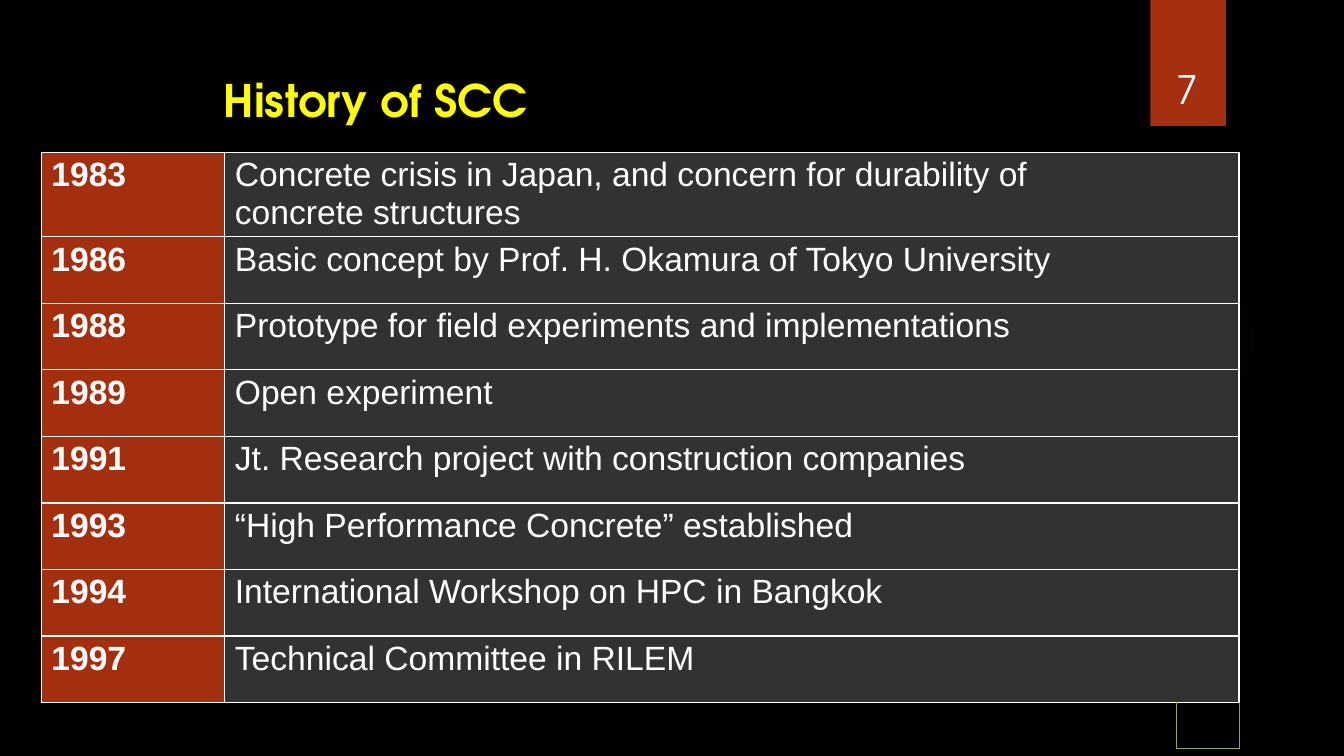
import pptx
import pptx.dml.color
import pptx.enum.shapes
import pptx.enum.text
import pptx.oxml
import pptx.oxml.ns
import pptx.util
from lxml import etree

Inches = pptx.util.Inches
WHITE, RUST, YELLOW = "FFFFFF", "A5300F", "FFFF00"
YEAR_FILL, EVENT_FILL, GREEN = "A42F0F", "323232", "92AA4B"
HEADING_FONT = "TeX Gyre Adventor"
COLUMN_WIDTHS = (1.82, 9.44, 0.62)
FIRST_ROW, EVENT_ROW, LAST_ROW = 0.72, 0.66, 0.46
HISTORY = (
    ("1983", "Concrete crisis in Japan, and concern for durability of concrete structures"),
    ("1986", "Basic concept by Prof. H. Okamura of Tokyo University"),
    ("1988", "Prototype for field experiments and implementations"),
    ("1989", "Open experiment"),
    ("1991", "Jt. Research project with construction companies"),
    ("1993", "“High Performance Concrete” established"),
    ("1994", "International Workshop on HPC in Bangkok"),
    ("1997", "Technical Committee in RILEM"),
)


def color(hex_text):
    return pptx.dml.color.RGBColor.from_string(hex_text)


def write_text(frame, text, font="Arial", size=24, fill=WHITE, bold=False, align="LEFT"):
    paragraph = frame.paragraphs[0]
    paragraph.alignment = getattr(pptx.enum.text.PP_ALIGN, align)
    run = paragraph.add_run()
    run.text = text
    run.font.name, run.font.size, run.font.bold = font, pptx.util.Pt(size), bold
    run.font.color.rgb = color(fill)


def add_text_box(slide, box, text, margins, anchor="TOP", **text_format):
    frame = slide.shapes.add_textbox(*map(Inches, box)).text_frame
    frame.word_wrap = True
    frame.vertical_anchor = getattr(pptx.enum.text.MSO_ANCHOR, anchor)
    (frame.margin_left, frame.margin_top,
     frame.margin_right, frame.margin_bottom) = map(Inches, margins)
    write_text(frame, text, **text_format)


def add_plain_shape(slide, kind, box):
    shape = slide.shapes.add_shape(
        getattr(pptx.enum.shapes.MSO_SHAPE, kind), *map(Inches, box))
    shape.shadow.inherit = False
    shape.line.fill.background()
    return shape


def add_glow(slide, box):
    """Add a faint grey disc that fades towards its edge."""
    glow = add_plain_shape(slide, "OVAL", box)
    glow.fill.background()
    stops = "".join(
        f'<a:gs pos="{position}000"><a:srgbClr val="848484">'
        f'<a:alpha val="{alpha}000"/></a:srgbClr></a:gs>'
        for position, alpha in ((0, 7), (36, 6), (69, 0)))
    gradient = pptx.oxml.parse_xml(
        f'<a:gradFill {pptx.oxml.ns.nsdecls("a")}><a:gsLst>{stops}</a:gsLst>'
        '<a:path path="circle"><a:fillToRect l="50000" t="50000" r="50000" b="50000"/>'
        '</a:path></a:gradFill>')
    properties = glow.element.spPr
    properties.replace(properties.find(pptx.oxml.ns.qn("a:noFill")), gradient)


def add_page_tab(slide, box, number):
    left, top, width, height = box
    tab = add_plain_shape(slide, "RECTANGLE", box)
    tab.fill.solid()
    tab.fill.fore_color.rgb = color(RUST)
    add_text_box(slide, (left - 0.09, top + 0.32, width + 0.17, height - 0.41), number,
                 (0.1, 0.05, 0.1, 0.05), anchor="BOTTOM",
                 font=HEADING_FONT, size=28, align="CENTER")


def set_borders(cell, **borders):
    """Draw the borders L, R, T, B given as (colour, points), and hide the others."""
    qn = pptx.oxml.ns.qn
    properties = cell._tc.get_or_add_tcPr()
    for side in "LRTB":
        line = etree.SubElement(properties, qn(f"a:ln{side}"))
        if side in borders:
            line_color, width = borders[side]
            line.set("w", str(pptx.util.Pt(width)))
            solid = etree.SubElement(line, qn("a:solidFill"))
            etree.SubElement(solid, qn("a:srgbClr"), val=line_color)
        else:
            etree.SubElement(line, qn("a:noFill"))


def fill_event_cell(cell, text, fill, **text_format):
    set_borders(cell, **dict.fromkeys("LRTB", (WHITE, 1)))
    cell.fill.solid()
    cell.fill.fore_color.rgb = color(fill)
    cell.margin_left, cell.margin_top = Inches(0.1), Inches(0.04)
    cell.margin_right = cell.margin_bottom = 0
    write_text(cell.text_frame, text, **text_format)


def add_history_table(slide, box):
    rows = len(HISTORY) + 1
    table = slide.shapes.add_table(rows, len(COLUMN_WIDTHS), *map(Inches, box)).table
    table.first_row = table.horz_banding = False
    for column, width in zip(table.columns, COLUMN_WIDTHS):
        column.width = Inches(width)
    heights = [FIRST_ROW] + [EVENT_ROW] * (rows - 2) + [LAST_ROW]
    for row, height in zip(table.rows, heights):
        row.height = Inches(height)

    for index, (year, event) in enumerate(HISTORY):
        table.cell(index, 1).merge(table.cell(index, 2))
        fill_event_cell(table.cell(index, 0), year, YEAR_FILL, bold=True)
        fill_event_cell(table.cell(index, 1), event, EVENT_FILL)
    table.cell(0, 1).margin_right = Inches(1.2)

    last = rows - 1
    table.cell(last, 0).merge(table.cell(last, 1))
    top, thin = (WHITE, 1), (GREEN, 0.75)
    set_borders(table.cell(last, 0), T=top, R=thin)
    set_borders(table.cell(last, 2), T=top, L=thin, R=thin, B=thin)
    for column in (0, 2):
        table.cell(last, column).fill.background()


def main():
    presentation = pptx.Presentation()
    presentation.slide_width, presentation.slide_height = Inches(13.33), Inches(7.5)
    slide = presentation.slides.add_slide(presentation.slide_layouts[6])
    slide.background.fill.solid()
    slide.background.fill.fore_color.rgb = color("000000")
    add_glow(slide, (9.41, 1.83, 3.08, 3.08))
    add_page_tab(slide, (11.41, 0, 0.75, 1.25), "7")
    add_history_table(slide, (0.41, 1.51, 11.88, 5.8))
    add_text_box(slide, (2.21, 0.71, 5.76, 0.55), "History of SCC", (0.01, 0.01, 0, 0),
                 font=HEADING_FONT, size=32, fill=YELLOW, bold=True)
    presentation.save("out.pptx")


if __name__ == "__main__":
    main()
